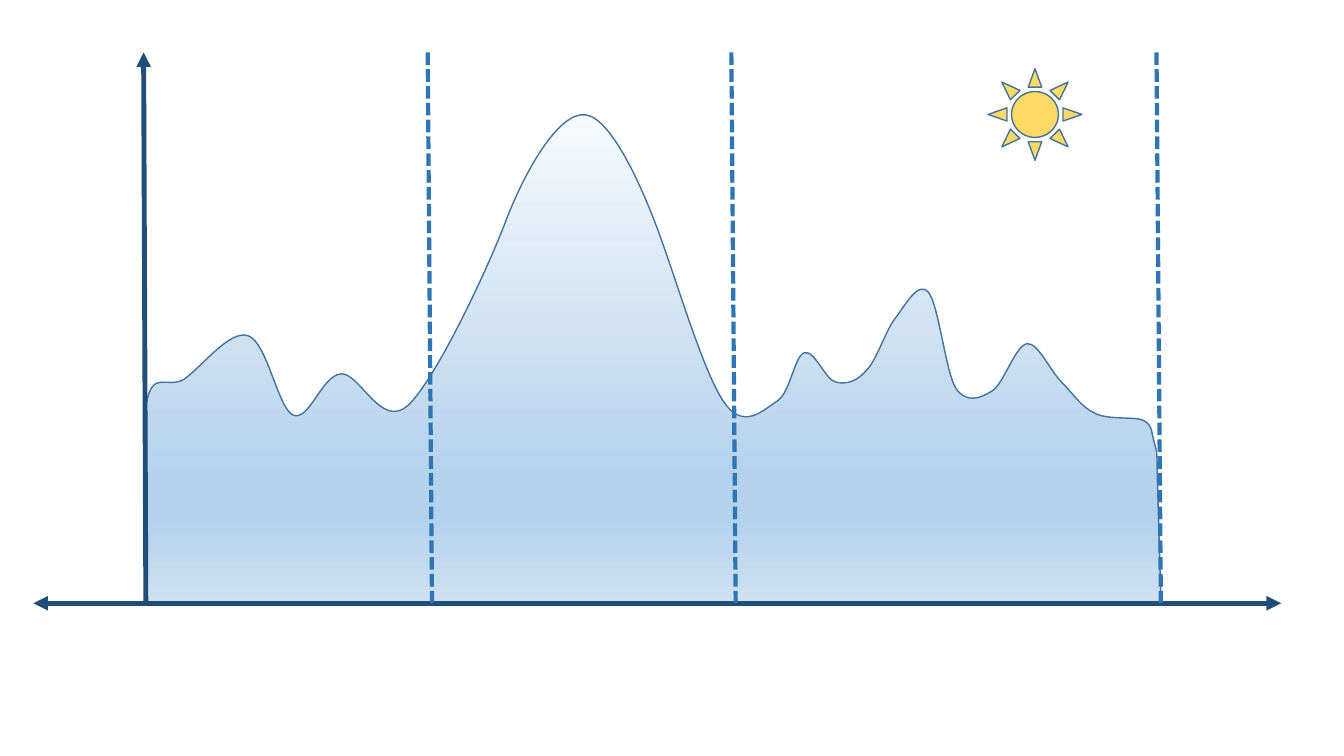
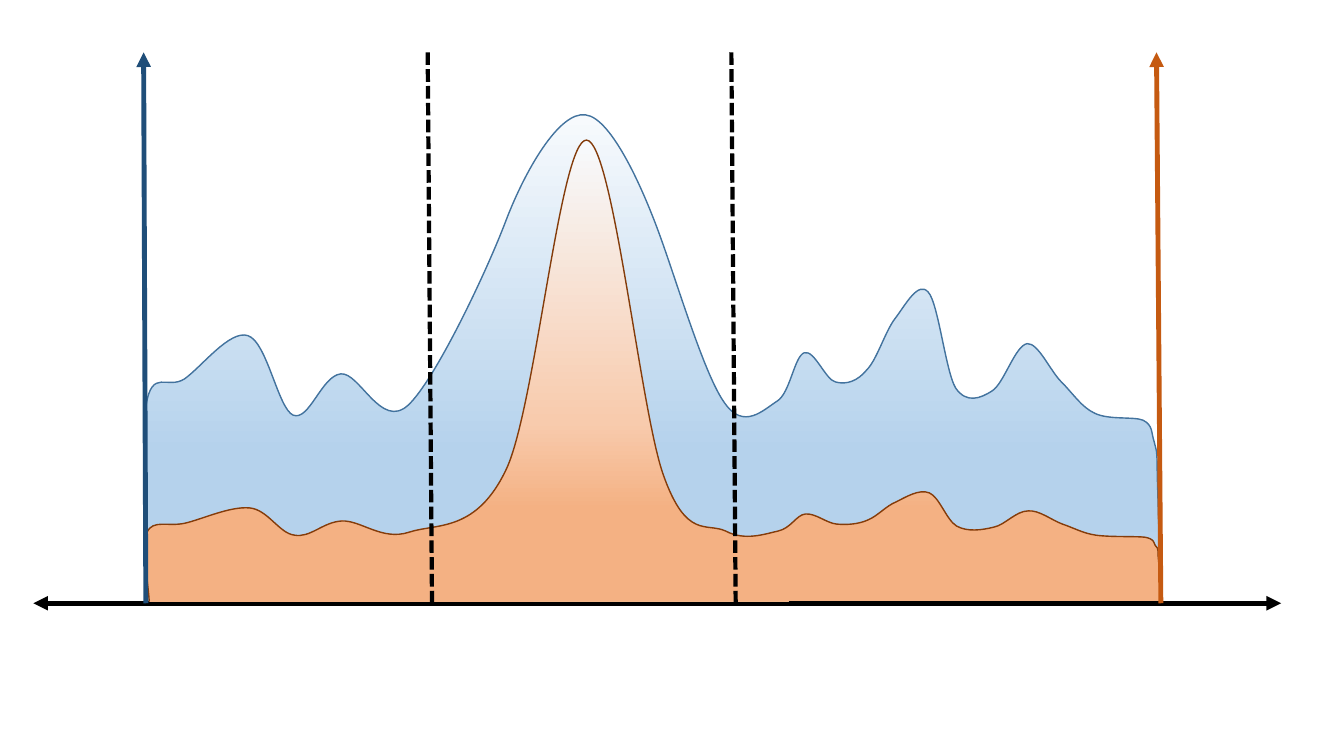
from dataclasses import dataclass

from lxml import etree
from pptx import Presentation
from pptx.dml.color import RGBColor
from pptx.enum.dml import MSO_LINE
from pptx.enum.shapes import MSO_CONNECTOR, MSO_SHAPE
from pptx.oxml.ns import qn
from pptx.util import Pt

STRAIGHT = MSO_CONNECTOR.STRAIGHT
SUN = MSO_SHAPE.SUN
SHORT_DASH = MSO_LINE.SQUARE_DOT

NAVY = "1F4E79"
BLUE = "2E75B6"
OUTLINE_BLUE = "43739E"
OUTLINE_BROWN = "843C0B"
ORANGE = "C55A11"
BLACK = "000000"
YELLOW = "FFD966"

TOP = 37.4
BASELINE = 430.9

Point = tuple[float, float]
Box = tuple[float, float, float, float]
Stops = list[tuple[int, str]]


@dataclass(frozen=True)
class Rule:
    start: Point
    end: Point
    color: str
    width: float = 3.5
    dashed: bool = False
    start_arrow: bool = False
    end_arrow: bool = False


@dataclass(frozen=True)
class Area:
    box: Box
    curve: list[Point]
    stops: Stops
    outline: str


TALL_PROFILE = [
    (829.4, 429.8),
    (828.7, 414), (827.3, 358.6), (826.6, 339.1),
    (826.6, 319), (825.8, 321.8), (824.4, 315.4),
    (822.2, 308.9), (823.7, 303.8), (816.5, 300.2),
    (810, 297.4), (792, 300.2), (781.9, 295.2),
    (772.6, 290.9), (766.8, 281.5), (758.2, 272.9),
    (750.2, 265), (741.6, 244.8), (733.7, 245.5),
    (725, 247), (717.1, 274.3), (708.5, 279.4),
    (700.6, 284.4), (690.5, 288.7), (682.6, 277.2),
    (675.4, 265), (670.3, 216.7), (663.1, 208.8),
    (655.9, 200.2), (646.6, 218.2), (639.4, 227.5),
    (632.2, 236.9), (626.4, 257), (619.2, 264.2),
    (612.7, 272.2), (604.8, 275), (596.9, 272.9),
    (589.7, 271.4), (581.8, 249.8), (574.6, 252),
    (567.4, 254.2), (564.5, 280.8), (555.1, 286.6),
    (545, 293), (531.4, 307.4), (517.7, 288),
    (504, 269.3), (486, 209.5), (473, 172.8),
    (460.1, 136.1), (437, 84.2), (418.3, 82.1),
    (399.6, 79.2), (375.1, 121.7), (361.4, 157.7),
    (347.8, 193.7), (311, 271.4), (291.6, 289.4),
    (272.2, 307.4), (257, 265.7), (243.4, 267.1),
    (229.7, 268.6), (221, 301), (209.5, 296.6),
    (198.7, 292.3), (190.8, 244.1), (177.1, 239.8),
    (164.2, 235.4), (144, 262.1), (131.8, 270.7),
    (119.5, 278.6), (108.7, 262.8), (104.4, 289.4),
    (100.1, 316.1), (105.8, 409), (105.1, 430.6),
]

LOW_PROFILE = [
    (830.2, 429.1),
    (829.4, 423.4), (828, 404.6), (827.3, 397.4),
    (827.3, 390.2), (826.6, 391.7), (825.1, 389.5),
    (823.7, 386.6), (824.4, 385.2), (817.9, 383.8),
    (810.7, 383), (792.7, 383.8), (782.6, 382.3),
    (773.3, 380.9), (767.5, 377.3), (758.9, 374.4),
    (751, 371.5), (742.3, 364.3), (734.4, 365),
    (725.8, 365), (717.8, 375.1), (709.9, 376.6),
    (701.3, 378.7), (691.2, 380.2), (683.3, 375.8),
    (676.1, 371.5), (671, 355), (663.8, 352.1),
    (656.6, 349.2), (647.3, 355), (640.1, 358.6),
    (632.9, 361.4), (627.1, 368.6), (619.9, 371.5),
    (613.4, 374.4), (605.5, 375.1), (597.6, 374.4),
    (590.4, 373.7), (582.5, 366.5), (575.3, 367.2),
    (568.8, 367.9), (565.2, 377.3), (555.8, 379.4),
    (545.8, 381.6), (532.1, 386.6), (518.4, 379.4),
    (504.7, 373), (490.3, 385.9), (473.8, 339.1),
    (457.2, 292.3), (437.8, 100.8), (419, 100.1),
    (400.3, 99.4), (383, 287.3), (362.2, 334.1),
    (340.6, 380.9), (311.8, 373.7), (292.3, 380.2),
    (272.9, 386.6), (257.8, 371.5), (244.1, 372.2),
    (230.4, 373), (221.8, 384.5), (210.2, 382.3),
    (199.4, 380.9), (191.5, 364.3), (178.6, 362.9),
    (164.9, 361.4), (144.7, 370.8), (132.5, 373.7),
    (120.2, 376.6), (109.4, 370.8), (105.1, 380.2),
    (100.8, 389.5), (106.6, 421.9), (106.6, 429.8),
]


def rgb(value: str) -> RGBColor:
    return RGBColor.from_string(value)


def style_line(line, color: str, width: float) -> None:
    line.color.rgb = rgb(color)
    line.width = Pt(width)


def add_path_step(path, tag: str, points: list[Point], box: Box) -> None:
    step = etree.SubElement(path, qn(tag))
    for x, y in points:
        position = {"x": str(Pt(x - box[0])), "y": str(Pt(y - box[1]))}
        etree.SubElement(step, qn("a:pt"), position)


def bend_outline(shape, area: Area) -> None:
    shape.left, shape.top, shape.width, shape.height = (Pt(value) for value in area.box)
    path = next(shape._element.spPr.iter(qn("a:path")))
    for step in list(path):
        path.remove(step)
    path.set("w", str(shape.width))
    path.set("h", str(shape.height))
    add_path_step(path, "a:moveTo", area.curve[:1], area.box)
    for first in range(1, len(area.curve), 3):
        add_path_step(path, "a:cubicBezTo", area.curve[first:first + 3], area.box)


def fill_gradient(shape, stops: Stops) -> None:
    shape.fill.gradient()
    shape.fill.gradient_angle = 270
    stop_list = shape._element.spPr.find(qn("a:gradFill")).find(qn("a:gsLst"))
    for stop in list(stop_list):
        stop_list.remove(stop)
    for percent, color in stops:
        stop = etree.SubElement(stop_list, qn("a:gs"), pos=str(percent * 1000))
        etree.SubElement(stop, qn("a:srgbClr"), val=color)


def draw_area(slide, area: Area) -> None:
    knots = [(Pt(x), Pt(y)) for x, y in area.curve[::3]]
    builder = slide.shapes.build_freeform(*knots[0])
    builder.add_line_segments(knots[1:], close=False)
    shape = builder.convert_to_shape()
    bend_outline(shape, area)
    shape.shadow.inherit = False
    fill_gradient(shape, area.stops)
    style_line(shape.line, area.outline, 1)


def draw_rule(slide, rule: Rule) -> None:
    ends = [Pt(value) for value in (*rule.start, *rule.end)]
    connector = slide.shapes.add_connector(STRAIGHT, *ends)
    style_line(connector.line, rule.color, rule.width)
    if rule.dashed:
        connector.line.dash_style = SHORT_DASH
    properties = connector._element.spPr
    line = properties.find(qn("a:ln"))
    for tag, shown in (("a:headEnd", rule.start_arrow), ("a:tailEnd", rule.end_arrow)):
        if shown:
            etree.SubElement(line, qn(tag), type="triangle")
    etree.SubElement(properties, qn("a:effectLst"))


def draw_sun(slide) -> None:
    sun = slide.shapes.add_shape(SUN, Pt(705.8), Pt(49), Pt(67), Pt(65.5))
    sun.shadow.inherit = False
    sun.fill.solid()
    sun.fill.fore_color.rgb = rgb(YELLOW)
    style_line(sun.line, OUTLINE_BLUE, 1)


def base_axis(color: str) -> Rule:
    return Rule((23.8, BASELINE), (915.1, BASELINE), color, start_arrow=True, end_arrow=True)


def upright_axis(top_x: float, base_x: float, color: str) -> Rule:
    return Rule((top_x, TOP), (base_x, BASELINE), color, start_arrow=True)


def divider(top_x: float, base_x: float, color: str) -> Rule:
    return Rule((top_x, TOP), (base_x, BASELINE), color, width=3, dashed=True)


def blue_area(band_start: int, band_end: int) -> Area:
    stops = [(0, "F7FAFD"), (band_start, "B5D2EC"), (band_end, "B5D2EC"), (100, "CEE1F2")]
    return Area((103, 81.9, 726.4, 349), TALL_PROFILE, stops, OUTLINE_BLUE)


LEFT_X = (102.6, 104.2)
RIGHT_X = (826.1, 829.2)
INNER_X = [(305.5, 308.6), (522.4, 525.5)]
ORANGE_AREA = Area(
    (103.8, 100.1, 726.4, 329.4),
    LOW_PROFILE,
    [(0, "F7FAFD"), (61, "F8CBAD"), (80, "F4B183"), (100, "F4B183")],
    OUTLINE_BROWN,
)


def build_single_profile(slide) -> None:
    draw_area(slide, blue_area(74, 83))
    draw_rule(slide, base_axis(NAVY))
    draw_rule(slide, upright_axis(*LEFT_X, NAVY))
    for position in [*INNER_X, RIGHT_X]:
        draw_rule(slide, divider(*position, BLUE))
    draw_sun(slide)


def build_double_profile(slide) -> None:
    draw_area(slide, blue_area(69, 84))
    draw_rule(slide, base_axis(BLACK))
    draw_area(slide, ORANGE_AREA)
    draw_rule(slide, upright_axis(*RIGHT_X, ORANGE))
    draw_rule(slide, upright_axis(*LEFT_X, NAVY))
    for position in INNER_X:
        draw_rule(slide, divider(*position, BLACK))


def main() -> None:
    presentation = Presentation()
    presentation.slide_width = Pt(960)
    presentation.slide_height = Pt(540)
    blank = presentation.slide_layouts[6]
    for build in (build_single_profile, build_double_profile):
        build(presentation.slides.add_slide(blank))
    presentation.save("out.pptx")


main()
